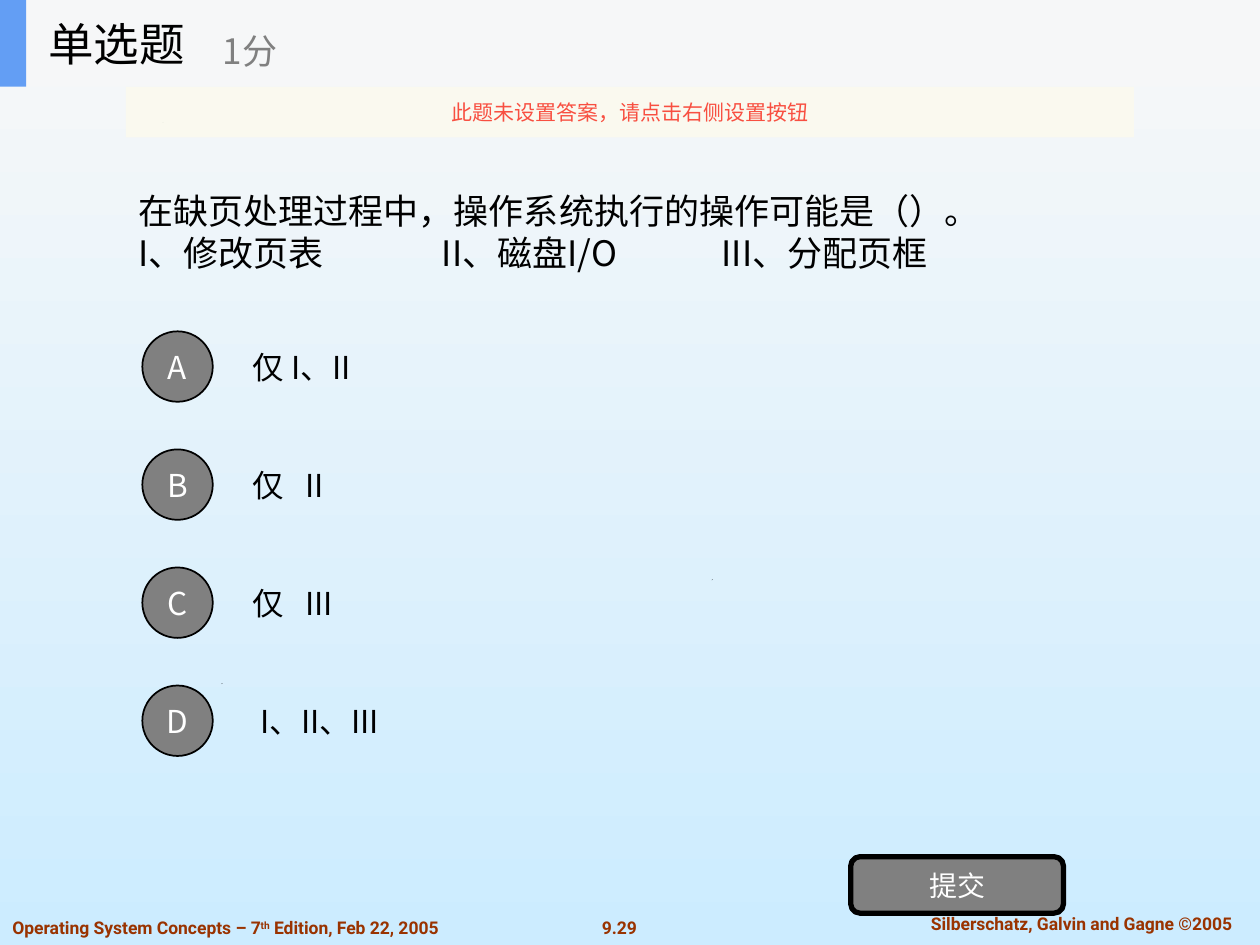
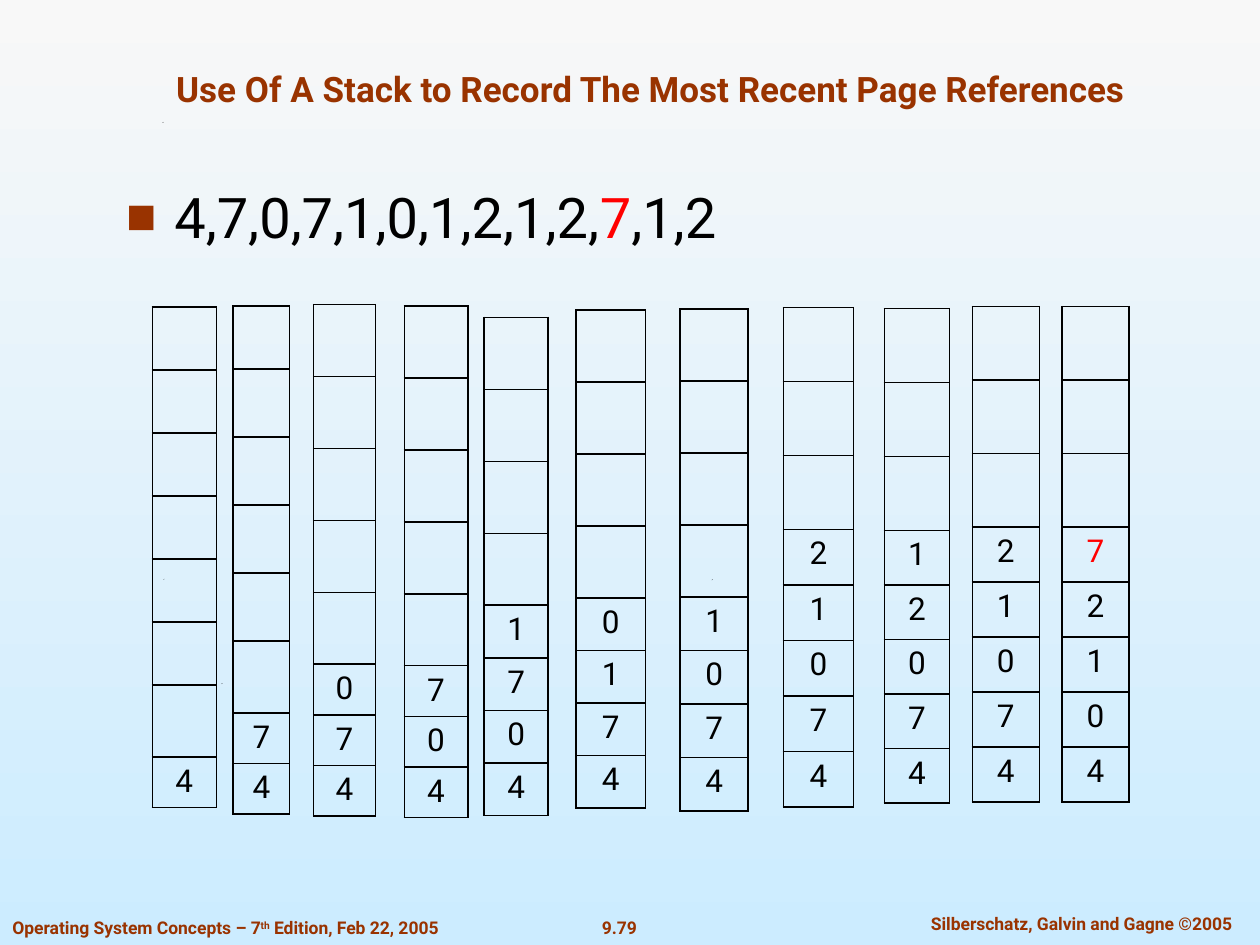
"""Build a quiz slide and a page-reference stack slide in one lecture theme."""
from dataclasses import dataclass

from lxml import etree
from pptx import Presentation
from pptx.dml.color import RGBColor
from pptx.enum.shapes import MSO_SHAPE
from pptx.enum.text import MSO_ANCHOR, MSO_AUTO_SIZE, PP_ALIGN
from pptx.oxml.ns import qn
from pptx.util import Cm, Pt

LEFT, CENTER = PP_ALIGN.LEFT, PP_ALIGN.CENTER
TOP, MIDDLE, BOTTOM = MSO_ANCHOR.TOP, MSO_ANCHOR.MIDDLE, MSO_ANCHOR.BOTTOM
RECT, OVAL, ROUND = MSO_SHAPE.RECTANGLE, MSO_SHAPE.OVAL, MSO_SHAPE.ROUNDED_RECTANGLE
NO_FIT = MSO_AUTO_SIZE.NONE


@dataclass(frozen=True)
class Theme:
    latin: str = "Roboto"
    cjk: str = "Noto Sans CJK SC"
    sky_top: str = "F8F8F8"
    sky_bottom: str = "CCECFF"
    rust: str = "993300"
    black: str = "000000"
    white: str = "FFFFFF"
    grey: str = "808080"
    red: str = "FF0000"
    band: str = "F6F7F8"
    blue: str = "639EF4"
    cream: str = "FBFAEF"
    warning: str = "F84F41"
    footer: int = 10
    notice: int = 12
    button: int = 16
    option: int = 18
    heading: int = 20
    quiz: int = 26
    sequence: int = 32


T = Theme()

EDITION = [("Operating System Concepts – 7", {}), ("th", {"base": 30000}),
           (" Edition, Feb 22, 2005", {})]
AUTHORS = "Silberschatz, Galvin and Gagne ©2005"
SPECKS = [(4.47, 13.78), (3.3, 11.68), (14.35, 11.69), (3.28, 2.47)]

QUIZ_TITLE, QUIZ_SCORE = "单选题", "1分"
NOTICE = "此题未设置答案，请点击右侧设置按钮"
QUESTION = ["在缺页处理过程中，操作系统执行的操作可能是（）。",
            "I、修改页表\tII、磁盘I/O\tIII、分配页框"]
QUESTION_TABS = [6.12, 11.76]
OPTIONS = [("A", "仅 I、II", 0), ("B", "仅\tII", 0),
           ("C", "仅\tIII", 0), ("D", "I、II、III", 0.15)]
OPTION_TAB, OPTION_STEP = 1.06, 2.38
SUBMIT = "提交"

STACK_TITLE = "Use Of A Stack to Record The Most Recent Page References"
SEQUENCE = [("4,7,0,7,1,0,1,2,1,2,", {}), ("7", {"color": T.red}), (",1,2", {})]
STACKS = [
    (3.07, 6.19, 1.29, [1.27] * 6 + [1.45], 1.02, "4"),
    (4.7, 6.17, 1.14, [1.27] + [1.37] * 4 + [1.45], 1.02, "74"),
    (6.32, 6.14, 1.25, [1.45] * 5, 1.02, "074"),
    (8.15, 6.17, 1.28, [1.45] * 5, 1.02, "704"),
    (9.76, 6.4, 1.29, [1.45] * 4, 1.06, "1704"),
    (11.61, 6.25, 1.4, [1.45] * 4, 1.06, "0174"),
    (13.71, 6.23, 1.37, [1.45] * 4, 1.08, "1074"),
    (15.79, 6.2, 1.42, [1.49] * 3, 1.12, "21074"),
    (17.83, 6.22, 1.31, [1.49] * 3, 1.1, "12074"),
    (19.6, 6.18, 1.35, [1.48] * 3, 1.11, "21074"),
    (21.41, 6.18, 1.35, [1.48] * 3, 1.11, "72104"),
]
RED_PAGE = (10, 0)


def rgb(value):
    return RGBColor.from_string(value)


def sub(parent, tag, **attrs):
    return etree.SubElement(parent, qn(tag), attrs)


def write(tf, paragraphs, size, color=T.black, font=T.cjk, bold=False,
          align=LEFT, anchor=MIDDLE):
    for name, value in {"word_wrap": True, "auto_size": NO_FIT,
                        "vertical_anchor": anchor}.items():
        setattr(tf, name, value)
    for i, runs in enumerate(paragraphs):
        p = tf.add_paragraph() if i else tf.paragraphs[0]
        p.alignment, p.space_before = align, Pt(0)
        for text, change in [(runs, {})] if isinstance(runs, str) else runs:
            r = p.add_run()
            r.text = text
            for name, value in {"size": Pt(size), "bold": bold, "name": font}.items():
                setattr(r.font, name, value)
            r.font.color.rgb = rgb(change.get("color", color))
            rpr = r._r.get_or_add_rPr()
            sub(rpr, "a:ea", typeface=font)
            if "base" in change:
                rpr.set("baseline", str(change["base"]))
    return tf


def add_text(s, box, paragraphs, size, **style):
    sp = s.shapes.add_textbox(*map(Cm, box))
    return write(sp.text_frame, paragraphs, size, **style)


def add_box(s, kind, box, fill, line=None):
    sp = s.shapes.add_shape(kind, *map(Cm, box))
    sp.shadow.inherit = False
    sp.fill.solid()
    sp.fill.fore_color.rgb = rgb(fill)
    if line:
        sp.line.color.rgb, sp.line.width = rgb(T.black), Pt(line)
    else:
        sp.line.fill.background()
    return sp


def add_label(sp, text, size, color=T.white):
    tf = sp.text_frame
    tf.margin_left = tf.margin_right = 0
    write(tf, [text], size, color, align=CENTER)


def place(sp, box):
    for name, value in zip(("left", "top", "width", "height"), box):
        setattr(sp, name, Cm(value))
    return sp


def add_tabs(tf, stops):
    for p in tf.paragraphs:
        tabs = sub(p._p.get_or_add_pPr(), "a:tabLst")
        for stop in stops:
            sub(tabs, "a:tab", pos=str(Cm(stop)), algn="l")


def paint_master(prs):
    fill = prs.slide_master.background.fill
    fill.gradient()
    fill.gradient_angle = 270
    for stop, color in zip(fill.gradient_stops, (T.sky_top, T.sky_bottom)):
        stop.color.rgb = rgb(color)


def add_slide(prs, layout, number):
    s = prs.slides.add_slide(prs.slide_layouts[layout])
    for x, y in SPECKS:
        pen = s.shapes.build_freeform(Cm(x), Cm(y), scale=1.0)
        pen.add_line_segments([(Cm(x + 0.02), Cm(y - 0.01)), (Cm(x), Cm(y + 0.01))])
        speck = pen.convert_to_shape()
        speck.shadow.inherit = False
        speck.fill.solid()
        speck.fill.fore_color.rgb = rgb(T.black)
        speck.line.fill.background()
    for box, runs, align in [((11.86, 18.36, 1.25, 0.68), number, CENTER),
                             ((18.03, 18.29, 7.54, 0.68), AUTHORS, CENTER),
                             ((0, 18.36, 9.6, 0.68), EDITION, LEFT)]:
        tf = add_text(s, box, [runs], T.footer, color=T.rust, font=T.latin,
                      bold=True, align=align, anchor=TOP)
        if runs == number:
            tf.margin_left = tf.margin_right = 0
    return s


def build_quiz(prs):
    s = add_slide(prs, 5, "9.29")
    add_text(s, (2.54, 2.36, 19.99, 4.6), QUESTION, T.heading)
    add_tabs(s.shapes[-1].text_frame, QUESTION_TABS)
    for i, (letter, text, indent) in enumerate(OPTIONS):
        y = 6.5 + i * OPTION_STEP
        tf = add_text(s, (4.85, y, 17.78, 1.78), [text], T.option)
        tf.margin_left = Cm(0.25 + indent)
        add_tabs(tf, [OPTION_TAB])
        circle = add_box(s, OVAL, (2.87, y + 0.18, 1.42, 1.42), T.grey, line=1)
        add_label(circle, letter, T.option)
    button = add_box(s, ROUND, (17.15, 17.27, 4.29, 1.14), T.grey, line=3)
    add_label(button, SUBMIT, T.button)
    add_box(s, RECT, (0, 0, 25.4, 1.75), T.band)
    add_box(s, RECT, (0, 0, 0.53, 1.75), T.blue)
    title = place(s.shapes.title, (0.72, 0, 3.6, 1.75))
    write(title.text_frame, [QUIZ_TITLE], T.quiz)
    s.shapes.element.append(title.element)
    add_text(s, (4.24, 0.31, 6.35, 1.43), [QUIZ_SCORE], T.heading, color=T.grey)
    notice = add_box(s, RECT, (2.54, 1.75, 20.32, 1.02), T.cream)
    sub(notice.element.spPr.find(".//" + qn("a:srgbClr")), "a:alpha", val="90000")
    add_label(notice, NOTICE, T.notice, T.warning)


def add_bullet(p):
    ppr = p._p.get_or_add_pPr()
    ppr.set("marL", str(Cm(0.97)))
    ppr.set("indent", str(-Cm(0.97)))
    sub(sub(ppr, "a:buClr"), "a:srgbClr", val=T.rust)
    sub(ppr, "a:buSzPct", val="90000")
    sub(ppr, "a:buChar", char="■")


def outline(cell):
    tcpr = cell._tc.get_or_add_tcPr()
    for side in ("a:lnL", "a:lnR", "a:lnT", "a:lnB"):
        ln = sub(tcpr, side, w=str(Pt(1)))
        sub(sub(ln, "a:solidFill"), "a:srgbClr", val=T.black)
    cell.fill.background()


def add_stack(s, index, x, y, width, empty, step, pages):
    heights = empty + [step] * len(pages)
    frame = s.shapes.add_table(len(heights), 1, Cm(x), Cm(y), Cm(width), Cm(sum(heights)))
    table = frame.table
    table.first_row = table.horz_banding = False
    for row, height in zip(table.rows, heights):
        row.height = Cm(height)
        outline(row.cells[0])
    for i, page in enumerate(pages):
        cell = table.cell(len(empty) + i, 0)
        p = cell.text_frame.paragraphs[0]
        p.alignment = CENTER
        r = p.add_run()
        r.text = page
        r.font.size, r.font.name = Pt(T.option), T.latin
        r.font.color.rgb = rgb(T.red if (index, i) == RED_PAGE else T.black)


def build_stacks(prs):
    s = add_slide(prs, 1, "9.79")
    title = place(s.shapes.title, (1.9, 0.64, 22.43, 1.7))
    write(title.text_frame, [STACK_TITLE], T.heading, T.rust, T.latin,
          bold=True, align=CENTER, anchor=BOTTOM)
    body = place(s.placeholders[1], (2.29, 3.56, 20.42, 1.85))
    write(body.text_frame, [SEQUENCE], T.sequence, font=T.latin, anchor=TOP)
    add_bullet(body.text_frame.paragraphs[0])
    for index, stack in enumerate(STACKS):
        add_stack(s, index, *stack)


def main():
    prs = Presentation()
    prs.slide_width, prs.slide_height = Cm(25.4), Cm(19.05)
    paint_master(prs)
    build_quiz(prs)
    build_stacks(prs)
    prs.save("out.pptx")


if __name__ == "__main__":
    main()
